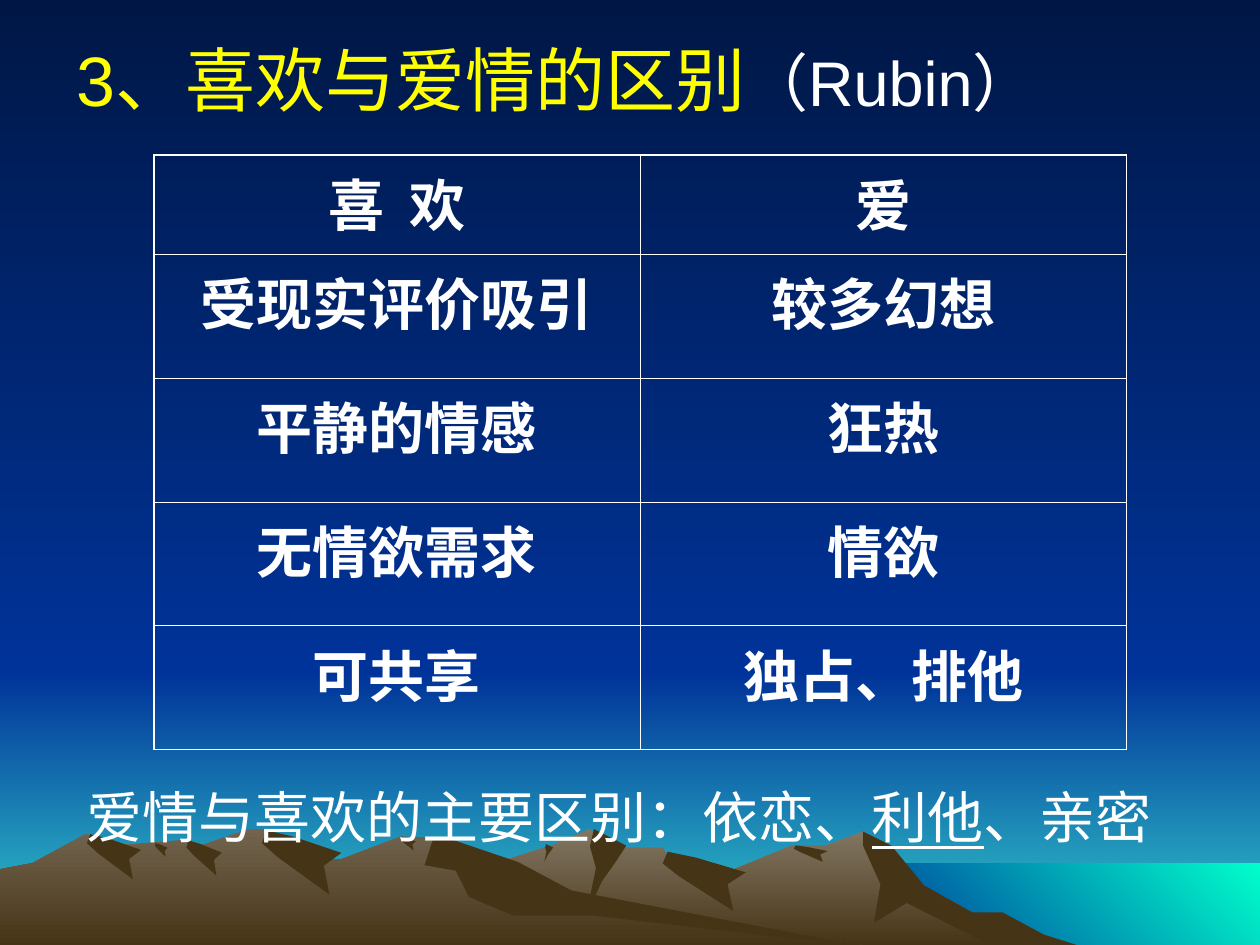
from pptx import Presentation
from pptx.dml.color import RGBColor
from pptx.enum.text import MSO_ANCHOR, PP_ALIGN
from pptx.oxml import parse_xml
from pptx.oxml.ns import nsdecls
from pptx.util import Inches, Pt

CENTER = PP_ALIGN.CENTER
MIDDLE = MSO_ANCHOR.MIDDLE
TOP = MSO_ANCHOR.TOP

SLIDE_WIDTH, SLIDE_HEIGHT = 10, 7.5
HORIZON, SHORE, MOUNTAIN_FOOT = 5.33, 6.85, 7.51
DOWNWARD, FROM_TOP_RIGHT = 270, 225
THICK, THIN = 1.08, 0.45

COLORS = {
    "night": "001746", "blue": "003399", "horizon": "33CCCC", "sea": "00FFCC",
    "rock": "837763", "ridge": "72644E", "earth": "463416",
    "yellow": "FFFF00", "white": "FFFFFF",
}

ROWS = [
    ("喜  欢", "爱"),
    ("受现实评价吸引", "较多幻想"),
    ("平静的情感", "狂热"),
    ("无情欲需求", "情欲"),
    ("可共享", "独占、排他"),
]

SHADOW_FORMS = {
    "streak": [(0.06, 0), (0, 0.2), (0.2, 0.42), (0.85, 1), (0.78, 0.55), (1, 0.35), (0.4, 0.1)],
    "gully": [(0.2, 0), (0.1, 0.2), (0.25, 0.45), (0, 1), (0.4, 0.6), (0.78, 0.35), (1, 0.19)],
    "spur": [(0, 0), (0, 0.12), (0.08, 0.45), (0.05, 0.78), (0.2, 0.61), (0.62, 1), (1, 0.98),
             (0.83, 0.88), (0.64, 0.69), (0.5, 0.69), (0.28, 0.46), (0.13, 0.12)],
    "slope": [(0.02, 0), (0, 0.25), (0.07, 0.3), (0.1, 0.54), (0.2, 0.71), (0.38, 0.71),
              (1, 1), (0.33, 0.48), (0.21, 0.22), (0.05, 0)],
}

MOUNTAINS = [
    {
        "color": "rock",
        "skyline": [(2.58, 7.51), (3.27, 7.09), (3.94, 6.85), (4.38, 6.71), (4.68, 6.58),
                    (4.86, 6.73), (5.26, 6.73), (5.36, 6.9), (5.66, 6.97), (6.29, 6.71),
                    (6.56, 6.71), (6.85, 6.6), (7.23, 6.98), (8.21, 7.51)],
        "shadows": [("spur", (6.85, 6.6, 1.73, 0.93)), ("gully", (4.65, 6.58, 0.32, 0.69)),
                    ("streak", (5.26, 6.76, 0.66, 0.47)), ("streak", (6.3, 6.71, 0.27, 0.13)),
                    ("gully", (4.32, 6.7, 0.07, 0.14))],
    },
    {
        "color": "ridge",
        "skyline": [(0, 6.9), (0.26, 6.85), (0.68, 6.62), (0.94, 6.71), (1.43, 6.67),
                    (1.6, 6.71), (1.97, 6.58), (2.12, 6.58), (2.36, 6.81), (2.71, 6.82),
                    (3.18, 6.64), (3.54, 6.65), (4.32, 7.12), (6.9, 7.51)],
        "shadows": [("streak", (2.08, 6.59, 0.63, 0.51)), ("slope", (3.37, 6.65, 3.53, 0.87)),
                    ("streak", (3.18, 6.64, 0.12, 0.11)), ("streak", (1.48, 6.67, 0.28, 0.28)),
                    ("streak", (1.23, 6.69, 0.1, 0.11)), ("streak", (0.69, 6.62, 0.43, 0.36))],
    },
]


def color(name):
    """Return the named colour."""
    return RGBColor.from_string(COLORS[name])


def set_values(target, values):
    """Set each attribute of the target from a dict."""
    for name, value in values.items():
        setattr(target, name, value)


def set_fill(fill, names, angle=DOWNWARD):
    """Fill with one colour, or with a gradient between two."""
    if len(names) == 1:
        fill.solid()
        fill.fore_color.rgb = color(names[0])
        return
    fill.gradient()
    fill.gradient_angle = angle
    for stop, name, position in zip(fill.gradient_stops, names, (0, 1)):
        stop.color.rgb = color(name)
        stop.position = position


def add_outline(slide, points, names, angle=DOWNWARD):
    """Add a closed freeform without a line."""
    corners = [(Inches(x), Inches(y)) for x, y in points]
    builder = slide.shapes.build_freeform(*corners[0])
    builder.add_line_segments(corners[1:], close=True)
    shape = builder.convert_to_shape()
    shape.shadow.inherit = False
    set_fill(shape.fill, names, angle)
    shape.line.fill.background()


def add_band(slide, left, top, bottom, names, angle=DOWNWARD):
    """Add a band that reaches the right edge of the slide."""
    points = [(left, top), (SLIDE_WIDTH, top), (SLIDE_WIDTH, bottom), (left, bottom)]
    add_outline(slide, points, names, angle)


def add_shadow(slide, form, box):
    """Stretch a unit shadow form over a box on the mountain side."""
    left, top, width, height = box
    points = [(left + x * width, top + y * height) for x, y in SHADOW_FORMS[form]]
    add_outline(slide, points, ("earth",))


def add_mountain(slide, mountain):
    """Close a skyline along the mountain foot and lay shadows on it."""
    skyline = mountain["skyline"]
    foot = [(skyline[-1][0], MOUNTAIN_FOOT), (skyline[0][0], MOUNTAIN_FOOT)]
    add_outline(slide, skyline + foot, (mountain["color"], "earth"))
    for form, box in mountain["shadows"]:
        add_shadow(slide, form, box)


def add_landscape(slide):
    """Add the sky, the sea and the mountains."""
    add_band(slide, 0, HORIZON, SLIDE_HEIGHT, ("blue", "horizon"))
    add_band(slide, 0, 0, HORIZON, ("night", "blue"))
    add_band(slide, 6.83, SHORE, SLIDE_HEIGHT, ("sea", "blue"), FROM_TOP_RIGHT)
    for mountain in MOUNTAINS:
        add_mountain(slide, mountain)


def add_run(paragraph, text, size, color_name="white", **values):
    """Add a run of Arial text."""
    run = paragraph.add_run()
    run.text = text
    set_values(run.font, {"name": "Arial", "size": Pt(size), **values})
    run.font.color.rgb = color(color_name)


def add_text(slide, box, runs, frame_values, line_spacing=1.0):
    """Add a text box with one paragraph of several runs."""
    frame = slide.shapes.add_textbox(*map(Inches, box)).text_frame
    set_values(frame, {"word_wrap": True, **frame_values})
    paragraph = frame.paragraphs[0]
    paragraph.line_spacing = line_spacing
    for text, size, color_name, values in runs:
        add_run(paragraph, text, size, color_name, **values)


def add_borders(cell, outer_sides):
    """Draw white cell borders, thicker on the outer sides."""
    properties = cell._tc.get_or_add_tcPr()
    for side in "LRTB":
        width = Pt(THICK if side in outer_sides else THIN)
        properties.append(parse_xml(
            f'<a:ln{side} {nsdecls("a")} w="{width}"><a:solidFill>'
            f'<a:srgbClr val="{COLORS["white"]}"/></a:solidFill></a:ln{side}>'))


def add_comparison(slide, left, top, width, height, header_height):
    """Add the table that sets liking beside love."""
    box = map(Inches, (left, top, width, height))
    table = slide.shapes.add_table(len(ROWS), len(ROWS[0]), *box).table
    set_values(table, {"first_row": False, "horz_banding": False})
    last_row = len(ROWS) - 1
    body_height = (height - header_height) / last_row
    for row_index, texts in enumerate(ROWS):
        table.rows[row_index].height = Inches(body_height if row_index else header_height)
        for column_index, text in enumerate(texts):
            cell = table.cell(row_index, column_index)
            outer_sides = "LR"[column_index] + {0: "T", last_row: "B"}.get(row_index, "")
            add_borders(cell, outer_sides)
            cell.fill.background()
            cell.vertical_anchor = TOP
            paragraph = cell.text_frame.paragraphs[0]
            paragraph.alignment = CENTER
            add_run(paragraph, text, 32, bold=True)


def main():
    """Build the slide and save it."""
    presentation = Presentation()
    set_values(presentation, {"slide_width": Inches(SLIDE_WIDTH),
                              "slide_height": Inches(SLIDE_HEIGHT)})
    slide = presentation.slides.add_slide(presentation.slide_layouts[6])
    set_fill(slide.background.fill, ("night", "blue"))
    add_landscape(slide)
    add_text(slide, (0.35, 0, 9.41, 1.25), [
        ("3、喜欢与爱情的区别", 40, "yellow", {}),
        ("（Rubin）", 36, "white", {}),
    ], {"vertical_anchor": MIDDLE, "margin_left": Inches(0.26)})
    add_text(slide, (0.59, 6.03, 9.06, 0.95), [
        ("爱情与喜欢的主要区别：依恋、", 32, "white", {}),
        ("利他", 32, "white", {"underline": True}),
        ("、亲密", 32, "white", {}),
    ], {"vertical_anchor": TOP}, 1.25)
    add_comparison(slide, 1.22, 1.23, 7.72, 4.72, header_height=0.79)
    presentation.save("out.pptx")


if __name__ == "__main__":
    main()
